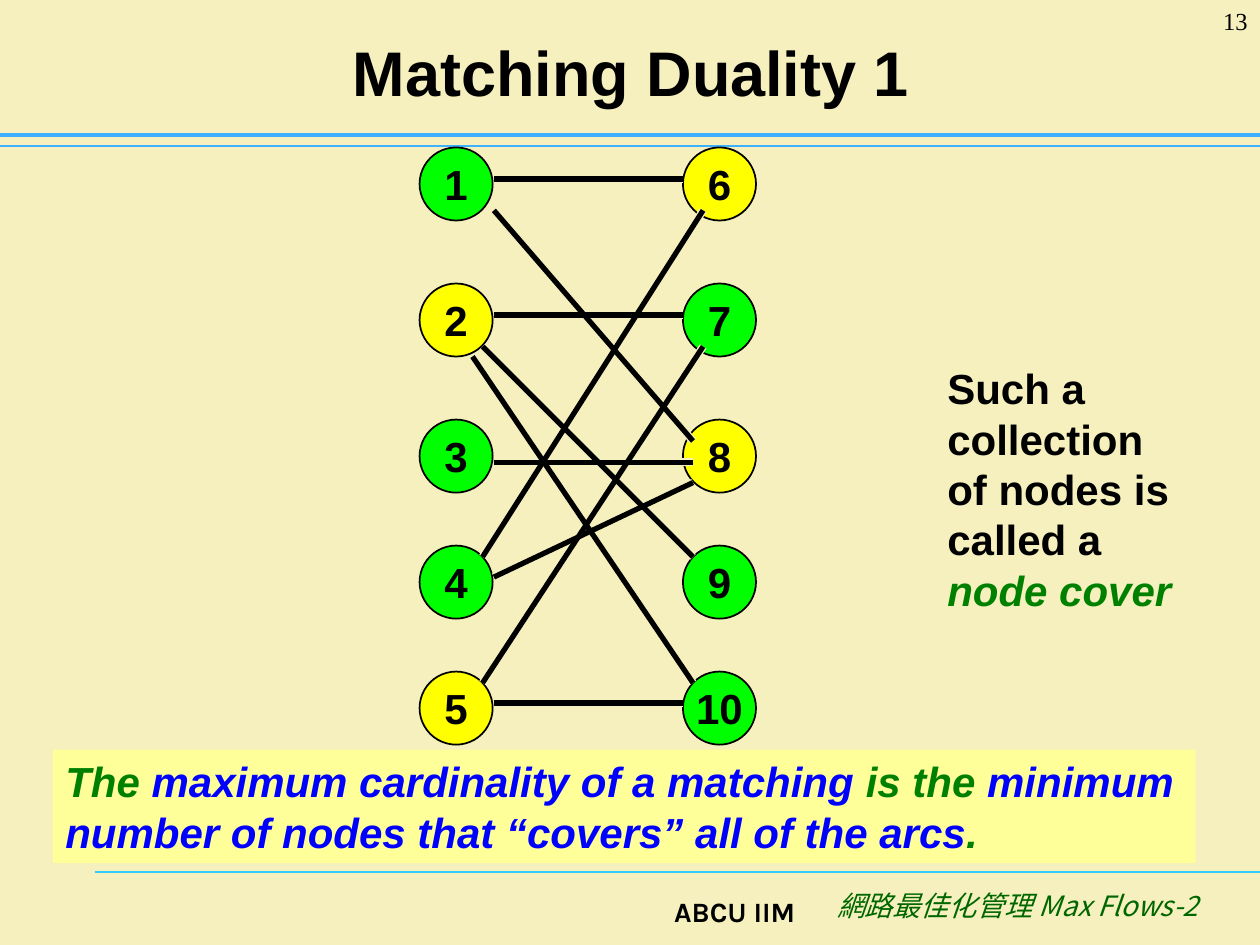
from typing import NamedTuple

from lxml import etree
from pptx import Presentation
from pptx.dml.color import RGBColor
from pptx.enum.shapes import MSO_CONNECTOR, MSO_SHAPE
from pptx.enum.text import MSO_ANCHOR, PP_ALIGN
from pptx.oxml.ns import qn
from pptx.util import Inches, Pt

STRAIGHT = MSO_CONNECTOR.STRAIGHT
OVAL, RECTANGLE = MSO_SHAPE.OVAL, MSO_SHAPE.RECTANGLE
LEFT, CENTER, RIGHT = PP_ALIGN.LEFT, PP_ALIGN.CENTER, PP_ALIGN.RIGHT
TOP, MIDDLE = MSO_ANCHOR.TOP, MSO_ANCHOR.MIDDLE

COLORS = {
    "background": "F5F0BD",
    "ink": "000000",
    "matched": "00FF00",
    "cover": "FFFF00",
    "banner": "FFFF99",
    "green": "008000",
    "blue": "0000FF",
    "footer": "006600",
    "header_rule": "3DB0FF",
    "footer_rule": "33CCFF",
}


class Span(NamedTuple):
    text: str
    color: str = "ink"
    italic: bool = False


class Style(NamedTuple):
    font: str = "Arial"
    size: float = 24
    bold: bool = True
    align: PP_ALIGN = LEFT
    anchor: MSO_ANCHOR = TOP
    before: float = 0
    wrap: bool = True


class Line(NamedTuple):
    x1: float
    y1: float
    x2: float
    y2: float


class Label(NamedTuple):
    left: float
    top: float
    width: float
    height: float
    style: Style
    spans: list[Span]


NODE_SIZE = 0.58
COLUMN_LEFTS = (3.33, 5.42)
ROW_TOPS = (1.17, 2.25, 3.33, 4.33, 5.33)
COVER_NODES = {2, 5, 6, 8}
NODE_STYLE = Style(align=CENTER, anchor=MIDDLE, wrap=False)
TITLE_STYLE = Style(size=36, align=CENTER, anchor=MIDDLE)
PROSE_STYLE = Style(before=15)

ARCS = [
    Line(3.75, 2.83, 5.5, 5.42),
    Line(3.92, 2.5, 5.42, 2.5),
    Line(3.83, 2.75, 5.5, 4.42),
    Line(3.92, 5.58, 5.42, 5.58),
    Line(3.83, 5.42, 5.58, 2.75),
    Line(3.92, 1.42, 5.42, 1.42),
    Line(3.83, 4.42, 5.58, 1.67),
    Line(3.92, 1.67, 5.5, 3.5),
    Line(3.92, 3.67, 5.5, 3.67),
    Line(3.92, 4.58, 5.5, 3.83),
]

RULES = [
    (Line(0.75, 6.92, 10, 6.92), "footer_rule", 0.75),
    (Line(0, 1.16, 10, 1.16), "header_rule", 0.75),
    (Line(0, 1.07, 10, 1.07), "header_rule", 2.5),
]

THEOREM = [
    Span("The ", "green", True),
    Span("maximum cardinality of a matching", "blue", True),
    Span(" is the ", "green", True),
    Span("minimum number of nodes that “covers” all of the arcs", "blue", True),
    Span(".", "green", True),
]

LABELS = [
    Label(4.41, 7.05, 2, 0.4, Style("Karla", 16, align=RIGHT), [Span("ABCU IIM")]),
    Label(6.41, 7, 3.2, 0.5, Style("Noto Sans CJK SC", 16, False, RIGHT),
          [Span("網路最佳化管理 Max Flows-2", "footer", True)]),
    Label(7.42, 2.83, 2.08, 2.1, PROSE_STYLE,
          [Span("Such a collection of nodes is called a "), Span("node cover", "green", True)]),
    Label(9.17, 0, 0.83, 0.5, Style("Times New Roman", 14, False, RIGHT), [Span("13")]),
]


def rgb(name: str) -> RGBColor:
    return RGBColor.from_string(COLORS[name])


def write(shape, spans: list[Span], style: Style) -> None:
    frame = shape.text_frame
    frame.word_wrap = style.wrap
    frame.vertical_anchor = style.anchor
    para = frame.paragraphs[0]
    para.alignment = style.align
    para.space_before = Pt(style.before)
    para.font.name = style.font
    para.font.size = Pt(style.size)
    para.font.bold = style.bold
    for span in spans:
        run = para.add_run()
        run.text = span.text
        run.font.color.rgb = rgb(span.color)
        run.font.italic = span.italic
        if not span.text.isascii():
            east_asian = etree.SubElement(run.font._element, qn("a:ea"))
            east_asian.set("typeface", style.font)


def draw_line(page, line: Line, color: str, width: float) -> None:
    connector = page.shapes.add_connector(STRAIGHT, *(Inches(value) for value in line))
    connector.line.color.rgb = rgb(color)
    connector.line.width = Pt(width)
    etree.SubElement(connector._element.spPr, qn("a:effectLst"))


def draw_shape(page, kind: MSO_SHAPE, bounds: tuple[float, ...], fill: str):
    shape = page.shapes.add_shape(kind, *(Inches(value) for value in bounds))
    shape.shadow.inherit = False
    shape.fill.solid()
    shape.fill.fore_color.rgb = rgb(fill)
    shape.line.fill.background()
    return shape


def draw_node(page, number: int) -> None:
    column, row = divmod(number - 1, len(ROW_TOPS))
    bounds = (COLUMN_LEFTS[column], ROW_TOPS[row], NODE_SIZE, NODE_SIZE)
    node = draw_shape(page, OVAL, bounds, "cover" if number in COVER_NODES else "matched")
    node.line.color.rgb = rgb("ink")
    node.line.width = Pt(1)
    write(node, [Span(str(number))], NODE_STYLE)


def draw_label(page, label: Label) -> None:
    box = page.shapes.add_textbox(*(Inches(value) for value in label[:4]))
    write(box, label.spans, label.style)


def main() -> None:
    deck = Presentation()
    deck.slide_width, deck.slide_height = Inches(10), Inches(7.5)
    page = deck.slides.add_slide(deck.slide_layouts[5])
    page.background.fill.solid()
    page.background.fill.fore_color.rgb = rgb("background")

    for line, color, width in RULES:
        draw_line(page, line, color, width)

    title = page.shapes.title
    title.left, title.top = Inches(0.51), Inches(0.13)
    title.width, title.height = Inches(9), Inches(0.87)
    write(title, [Span("Matching Duality 1")], TITLE_STYLE)

    banner = draw_shape(page, RECTANGLE, (0.42, 5.95, 9.07, 0.9), "banner")
    write(banner, THEOREM, PROSE_STYLE)

    for number in range(1, len(COLUMN_LEFTS) * len(ROW_TOPS) + 1):
        draw_node(page, number)
    for color, width in (("background", 4.5), ("ink", 3)):
        for arc in ARCS:
            draw_line(page, arc, color, width)
    for label in LABELS:
        draw_label(page, label)

    deck.save("out.pptx")


if __name__ == "__main__":
    main()
